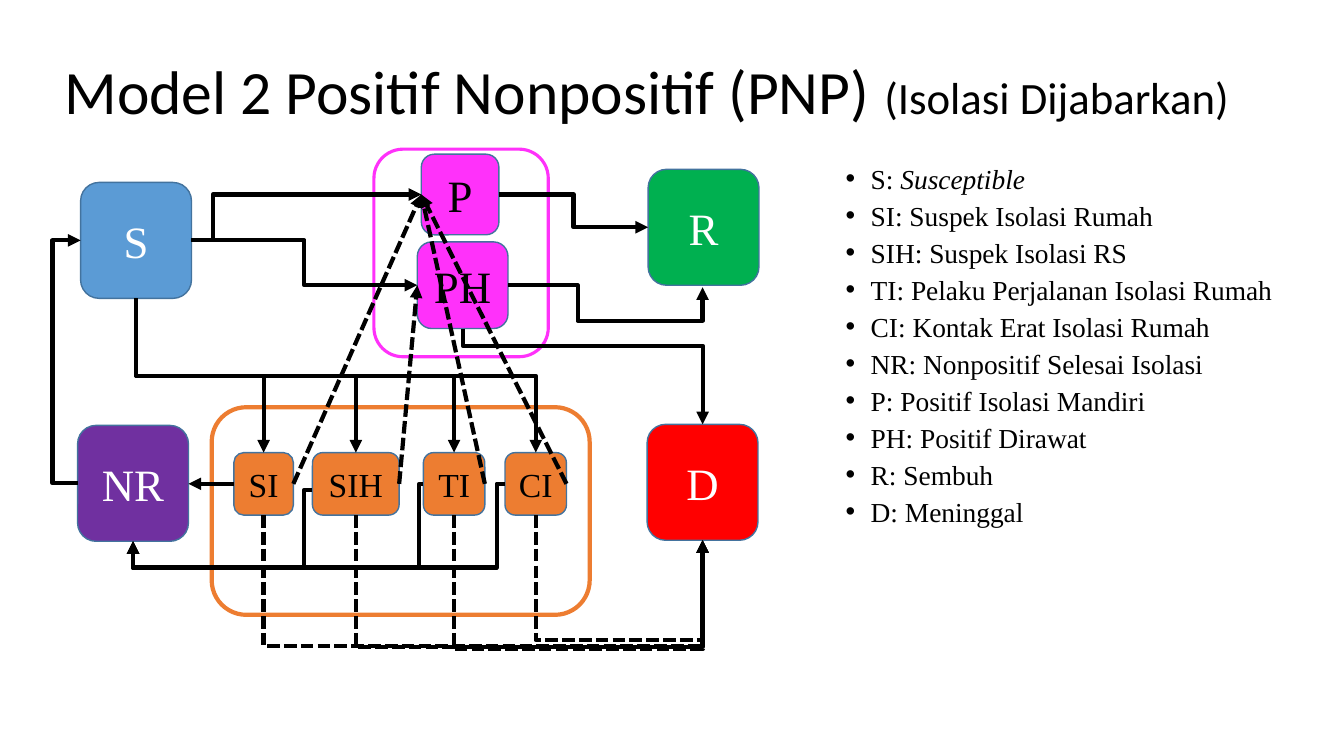
from pptx import Presentation
from pptx.dml.color import RGBColor
from pptx.enum.dml import MSO_LINE as Dash
from pptx.enum.shapes import MSO_CONNECTOR as Link, MSO_SHAPE as Form
from pptx.enum.text import MSO_ANCHOR as Anchor, PP_ALIGN as Align
from pptx.oxml.ns import qn
from pptx.util import Inches, Pt
from lxml.etree import SubElement as sub

BLACK, WHITE = "000000", "FFFFFF"
PINK, ORANGE, EDGE = "FF31FA", "ED7D31", "43739E"


def cell(num):
    """Turn grid cells of a tenth of an inch into a length."""
    return Inches(num / 10)


def tint(code):
    """Turn a hex string into a colour."""
    return RGBColor.from_string(code)


def port(box, side):
    """Give the grid point in the middle of one side of a box."""
    x, y, wide, high = (n / cell(1) for n in (box.left, box.top, box.width, box.height))
    return {"top": (x + wide / 2, y), "left": (x, y + high / 2),
            "base": (x + wide / 2, y + high), "right": (x + wide, y + high / 2)}[side]


class Board:
    """Hold the style and the slide being drawn."""

    def __init__(self, slide, serif="Times New Roman", sans="Calibri"):
        """Keep the slide and its two fonts."""
        self.shapes, self.serif, self.sans = slide.shapes, serif, sans

    def style(self, run, size, face, color=BLACK):
        """Set size, face and colour of a run."""
        run.font.size, run.font.name = Pt(size), face
        run.font.color.rgb = tint(color)

    def box(self, area, fill, edge=EDGE, width=1, text="", size=32, color=WHITE):
        """Draw a rounded box with a centred label."""
        shape = self.shapes.add_shape(Form.ROUNDED_RECTANGLE, *map(cell, area))
        shape.shadow.inherit = False
        shape.fill.solid()
        shape.fill.fore_color.rgb = tint(fill)
        shape.line.color.rgb, shape.line.width = tint(edge), Pt(width)
        if text:
            frame = shape.text_frame
            frame.text, frame.vertical_anchor = text, Anchor.MIDDLE
            frame.margin_left = frame.margin_right = 0
            par = frame.paragraphs[0]
            par.alignment = Align.CENTER
            self.style(par.runs[0], size, self.serif, color)
        return shape

    def frame(self, area, anchor=Anchor.TOP):
        """Add an empty text box that wraps."""
        frame = self.shapes.add_textbox(*map(cell, area)).text_frame
        frame.word_wrap, frame.vertical_anchor = True, anchor
        return frame

    def title(self, area, parts):
        """Write a title from pairs of text and size."""
        par = self.frame(area, Anchor.MIDDLE).paragraphs[0]
        par.line_spacing = 0.9
        for text, size in parts:
            run = par.add_run()
            run.text = text
            self.style(run, size, self.sans)

    def legend(self, area, items, size):
        """Write a bulleted list of pairs of sign and meaning."""
        frame = self.frame(area)
        frame.text = "\n".join(f"{sign}: {text}" for sign, text in items)
        for par in frame.paragraphs:
            par.line_spacing, par.space_before = 0.7, Pt(10)
            prop = par._p.get_or_add_pPr()
            prop.set("marL", str(Inches(0.25)))
            prop.set("indent", str(-Inches(0.25)))
            sub(prop, qn("a:buFont"), typeface="Arial")
            sub(prop, qn("a:buChar"), char="•")
            self.style(par.runs[0], size, self.serif)
        return frame

    def arrow(self, start, end, dash=False, kind=Link.STRAIGHT):
        """Draw a black arrow between two grid points."""
        line = self.shapes.add_connector(kind, *map(cell, start + end))
        line.line.color.rgb, line.line.width = tint(BLACK), Pt(3)
        if dash:
            line.line.dash_style = Dash.SQUARE_DOT
        sub(line.line._get_or_add_ln(), qn("a:tailEnd"), type="triangle")
        sub(line._element.spPr, qn("a:effectLst"))
        return line

    def elbow(self, start, end, x=None, y=None, dash=False):
        """Draw a bent arrow that turns at x, at y, or at x and then y."""
        line = self.arrow(start, end, dash, Link.ELBOW)
        wide, high = end[0] - start[0], end[1] - start[1]
        turns = []
        if x is not None:
            turns.append((x - start[0]) / wide)
        if y is not None:
            turns.append((y - start[1]) / high)
        geom = line._element.spPr.find(qn("a:prstGeom"))
        geom.set("prst", f"bentConnector{len(turns) + 2}")
        for num, turn in enumerate(turns, 1):
            sub(geom.find(qn("a:avLst")), qn("a:gd"), name=f"adj{num}",
                fmla=f"val {round(turn * 100000)}")
        if x is None:
            line.left, line.top = (cell(start[0] + (wide - high) / 2),
                                   cell(start[1] + (high - wide) / 2))
            line.width, line.height = cell(high), cell(wide)
            form = line._element.spPr.find(qn("a:xfrm"))
            form.set("rot", str(270 * 60000))
            form.set("flipH", "1")


deck = Presentation()
deck.slide_width, deck.slide_height = cell(133.33), cell(75)
board = Board(deck.slides.add_slide(deck.slide_layouts[6]))

board.title((5.4, 2.1, 127.9, 14.5),
            [("Model 2 Positif Nonpositif (PNP) ", 44), ("(Isolasi Dijabarkan)", 32)])
legend = board.legend((82.9, 16.5, 50, 38.9), [
    ("S", "Susceptible"), ("SI", "Suspek Isolasi Rumah"), ("SIH", "Suspek Isolasi RS"),
    ("TI", "Pelaku Perjalanan Isolasi Rumah"), ("CI", "Kontak Erat Isolasi Rumah"),
    ("NR", "Nonpositif Selesai Isolasi"), ("P", "Positif Isolasi Mandiri"),
    ("PH", "Positif Dirawat"), ("R", "Sembuh"), ("D", "Meninggal")], 19.6)
first = legend.paragraphs[0]
first.runs[0].text = "S: "
term = first.add_run()
term.text, term.font.italic = "Susceptible", True
board.style(term, 19.6, board.serif)

board.box((37.1, 14.8, 17.3, 20.6), WHITE, PINK, 2.25)
board.box((21, 40.4, 37.5, 20.6), WHITE, ORANGE, 3)
node = {}
for name, x, y, fill in [("S", 8, 18.1, "5B9BD5"), ("NR", 7.7, 42.2, "7030A0"),
                         ("R", 64.3, 16.8, "00B050"), ("D", 64.2, 42.1, "FF0000")]:
    node[name] = board.box((x, y, 11, 11.5), fill, text=name)
for name, area in [("P", (41.8, 15.3, 7.7, 8)), ("PH", (41.4, 24, 9, 8.6))]:
    node[name] = board.box(area, PINK, text=name, color=BLACK)
for name, x, wide in [("SI", 23.2, 5.9), ("SIH", 31, 8.6), ("TI", 42, 6.1), ("CI", 50.1, 6.1)]:
    node[name] = board.box((x, 44.9, wide, 6.2), ORANGE, text=name, size=24, color=BLACK)

ends = {(name, side): port(box, side) for name, box in node.items()
        for side in ("top", "left", "base", "right")}

board.arrow(ends["SI", "left"], (18.7, 48))
for start, x in [((31, 48.6), 30.2), (ends["TI", "left"], 41.6), (ends["CI", "left"], 49.3)]:
    board.elbow(start, ends["NR", "base"], x, 56.3)
for name, low, goal in [("SI", 64.1, "P"), ("SIH", 64.2, "PH"), ("TI", 64.4, "P"), ("CI", 63.5, "P")]:
    board.elbow(ends["S", "base"], ends[name, "top"], y=37.3)
    board.elbow(ends[name, "base"], ends["D", "base"], y=low, dash=True)
    board.arrow(ends[name, "right"], ends[goal, "left"], dash=True)
for start, goal, x in [("S", "P", 21.1), ("S", "PH", 30.2), ("P", "R", 56.9)]:
    board.elbow(ends[start, "right"], ends[goal, "left"], x)
board.elbow(ends["NR", "left"], ends["S", "left"], 5.2)
board.elbow(ends["PH", "right"], (69.7, 28.5), 57.3, 31.8)
board.elbow(ends["PH", "base"], ends["D", "top"], y=34.3)

deck.save("out.pptx")
